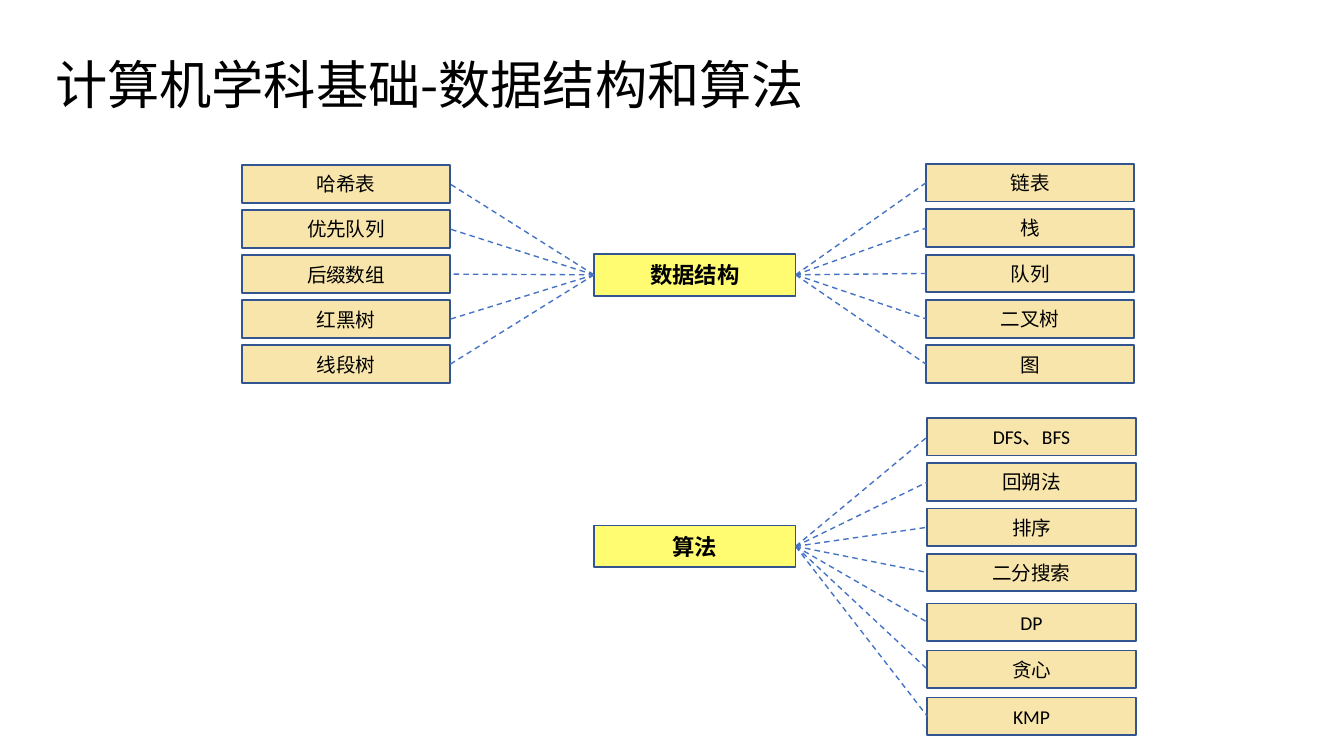
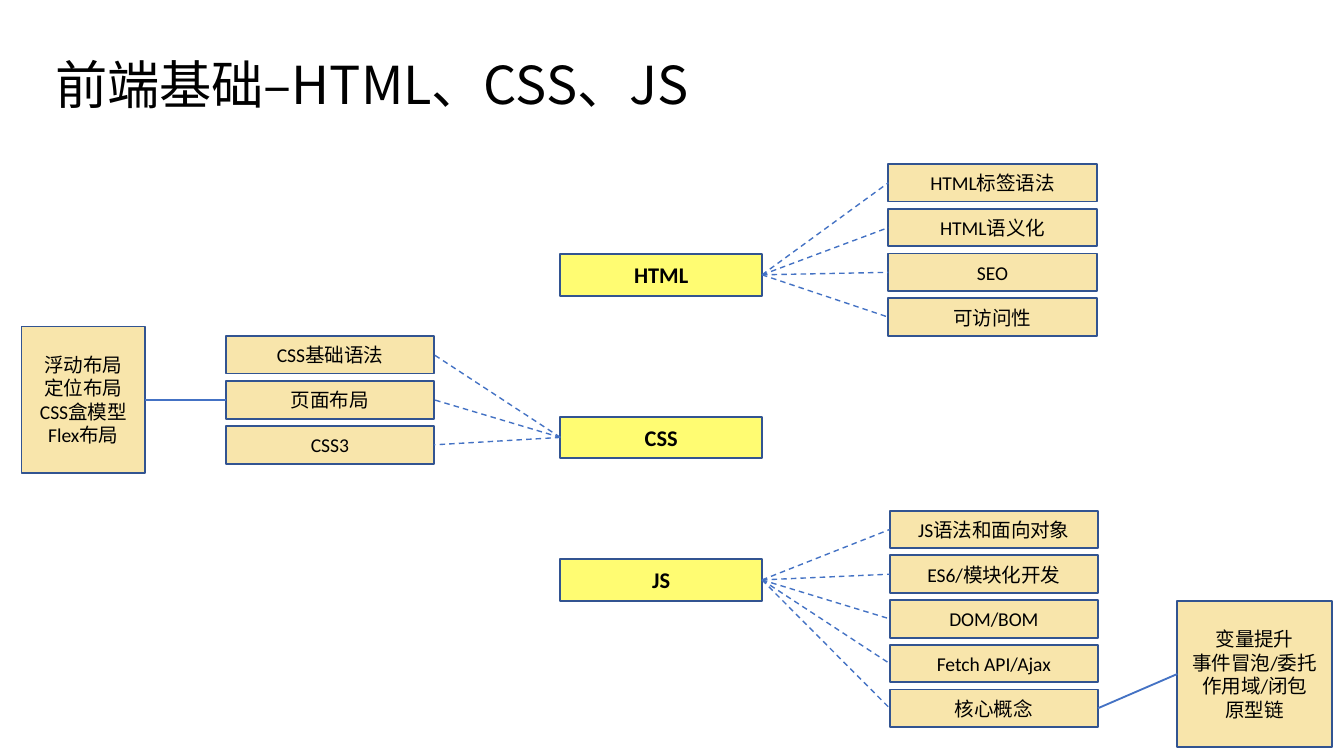
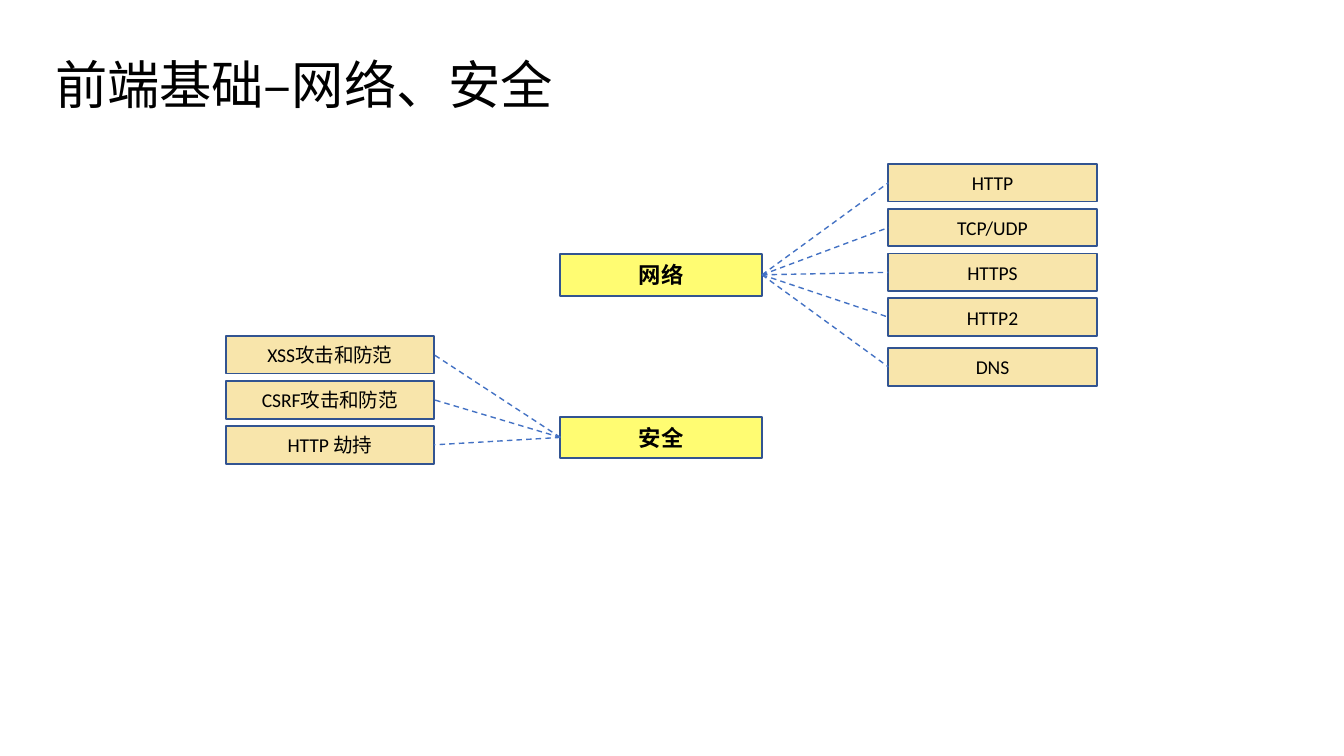
from lxml.etree import SubElement
from pptx import Presentation
from pptx.dml.color import RGBColor
from pptx.enum.dml import MSO_LINE_DASH_STYLE as DASH
from pptx.enum.shapes import MSO_CONNECTOR, MSO_SHAPE
from pptx.enum.text import MSO_ANCHOR, MSO_AUTO_SIZE, PP_ALIGN
from pptx.oxml.ns import qn
from pptx.util import Inches, Pt

COLORS = {
    "text": "000000",
    "hub": "FFFC72",
    "topic": "F8E5AB",
    "border": "325491",
    "link": "4472C4",
}
TITLE_FONT = "Noto Sans CJK SC"
BODY_FONT = "Calibri"
HUB_SIZE = (1.5, 0.31)
TOPIC_SIZE = (1.55, 0.28)
TITLE_ONLY_LAYOUT = 5
LEFT_SIDE, RIGHT_SIDE = 1, 3


def color(name):
    return RGBColor.from_string(COLORS[name])


def add_run(paragraph, text, size, font_name, bold=False):
    run = paragraph.add_run()
    run.text = text
    font = run.font
    font.size = Pt(size)
    font.name = font_name
    font.bold = bold
    font.color.rgb = color("text")
    east_asian = SubElement(run._r.get_or_add_rPr(), qn("a:ea"))
    east_asian.set("typeface", TITLE_FONT)


def add_titled_slide(presentation, text):
    slide = presentation.slides.add_slide(presentation.slide_layouts[TITLE_ONLY_LAYOUT])
    title = slide.shapes.title
    title.left, title.top = Inches(0.31), Inches(0.34)
    title.width, title.height = Inches(5.95), Inches(0.57)
    frame = title.text_frame
    frame.word_wrap = True
    frame.auto_size = MSO_AUTO_SIZE.SHAPE_TO_FIT_TEXT
    frame.vertical_anchor = MSO_ANCHOR.TOP
    paragraph = frame.paragraphs[0]
    paragraph.alignment = PP_ALIGN.LEFT
    add_run(paragraph, text, 28, TITLE_FONT)
    return slide


def add_box(slide, lines, left, top, size, fill="topic", font_size=10.5, bold=False):
    width, height = size
    shape = slide.shapes.add_shape(
        MSO_SHAPE.RECTANGLE, Inches(left), Inches(top), Inches(width), Inches(height)
    )
    shape.shadow.inherit = False
    shape.fill.solid()
    shape.fill.fore_color.rgb = color(fill)
    shape.line.color.rgb = color("border")
    shape.line.width = Pt(1)
    frame = shape.text_frame
    frame.word_wrap = True
    frame.vertical_anchor = MSO_ANCHOR.MIDDLE
    for index, line in enumerate(lines):
        paragraph = frame.add_paragraph() if index else frame.paragraphs[0]
        paragraph.alignment = PP_ALIGN.CENTER
        add_run(paragraph, line, font_size, BODY_FONT, bold)
    return shape


def add_hub(slide, text, left, top):
    return add_box(slide, [text], left, top, HUB_SIZE, "hub", 12, True)


def add_link(slide, start, end, width=0.75, dash=DASH.DASH):
    connector = slide.shapes.add_connector(MSO_CONNECTOR.STRAIGHT, 0, 0, 0, 0)
    goes_right = start.left < end.left
    connector.begin_connect(start, RIGHT_SIDE if goes_right else LEFT_SIDE)
    connector.end_connect(end, LEFT_SIDE if goes_right else RIGHT_SIDE)
    connector.line.color.rgb = color("link")
    connector.line.width = Pt(width)
    connector.line.dash_style = dash
    SubElement(connector._element.spPr, qn("a:effectLst"))


def add_branch(slide, hub, topics, left, first_top, last_top):
    pitch = (last_top - first_top) / max(len(topics) - 1, 1)
    boxes = [
        add_box(slide, [topic], left, first_top + index * pitch, TOPIC_SIZE)
        for index, topic in enumerate(topics)
    ]
    for box in boxes:
        add_link(slide, hub, box)
    return boxes


def add_details(slide, topic_box, lines, left, top, size):
    details = add_box(slide, lines, left, top, size)
    add_link(slide, topic_box, details, 1, DASH.SOLID)


def add_algorithm_slide(presentation):
    slide = add_titled_slide(presentation, "计算机学科基础-数据结构和算法")
    structures = add_hub(slide, "数据结构", 4.42, 1.89)
    algorithms = add_hub(slide, "算法", 4.42, 3.91)
    add_branch(slide, structures, ["链表", "栈", "队列", "二叉树", "图"], 6.89, 1.22, 2.57)
    add_branch(
        slide, structures, ["哈希表", "优先队列", "后缀数组", "红黑树", "线段树"], 1.8, 1.23, 2.57
    )
    add_branch(
        slide, algorithms, ["DFS、BFS", "回朔法", "排序", "二分搜索"], 6.9, 3.11, 4.12
    )
    add_branch(slide, algorithms, ["DP", "贪心", "KMP"], 6.9, 4.49, 5.19)


def add_web_slide(presentation):
    slide = add_titled_slide(presentation, "前端基础–HTML、CSS、JS")
    html = add_hub(slide, "HTML", 4.17, 1.89)
    css = add_hub(slide, "CSS", 4.17, 3.1)
    script = add_hub(slide, "JS", 4.17, 4.16)
    add_branch(
        slide, html, ["HTML标签语法", "HTML语义化", "SEO", "可访问性"], 6.61, 1.22, 2.22
    )
    css_boxes = add_branch(slide, css, ["CSS基础语法", "页面布局", "CSS3"], 1.68, 2.5, 3.17)
    script_boxes = add_branch(
        slide,
        script,
        ["JS语法和面向对象", "ES6/模块化开发", "DOM/BOM", "Fetch API/Ajax", "核心概念"],
        6.62, 3.8, 5.13,
    )
    add_details(
        slide,
        css_boxes[1],
        ["浮动布局", "定位布局", "CSS盒模型", "Flex布局"],
        0.16, 2.43, (0.92, 1.09),
    )
    add_details(
        slide,
        script_boxes[-1],
        ["变量提升", "事件冒泡/委托", "作用域/闭包", "原型链"],
        8.76, 4.47, (1.15, 1.09),
    )


def add_network_slide(presentation):
    slide = add_titled_slide(presentation, "前端基础–网络、安全")
    network = add_hub(slide, "网络", 4.17, 1.89)
    security = add_hub(slide, "安全", 4.17, 3.1)
    add_branch(slide, network, ["HTTP", "TCP/UDP", "HTTPS", "HTTP2"], 6.61, 1.22, 2.22)
    add_branch(slide, network, ["DNS"], 6.61, 2.59, 2.59)
    add_branch(
        slide, security, ["XSS攻击和防范", "CSRF攻击和防范", "HTTP 劫持"], 1.68, 2.5, 3.17
    )


def main():
    presentation = Presentation()
    presentation.slide_width = Inches(10)
    presentation.slide_height = presentation.slide_width * 9 // 16
    add_algorithm_slide(presentation)
    add_web_slide(presentation)
    add_network_slide(presentation)
    presentation.save("out.pptx")


if __name__ == "__main__":
    main()
